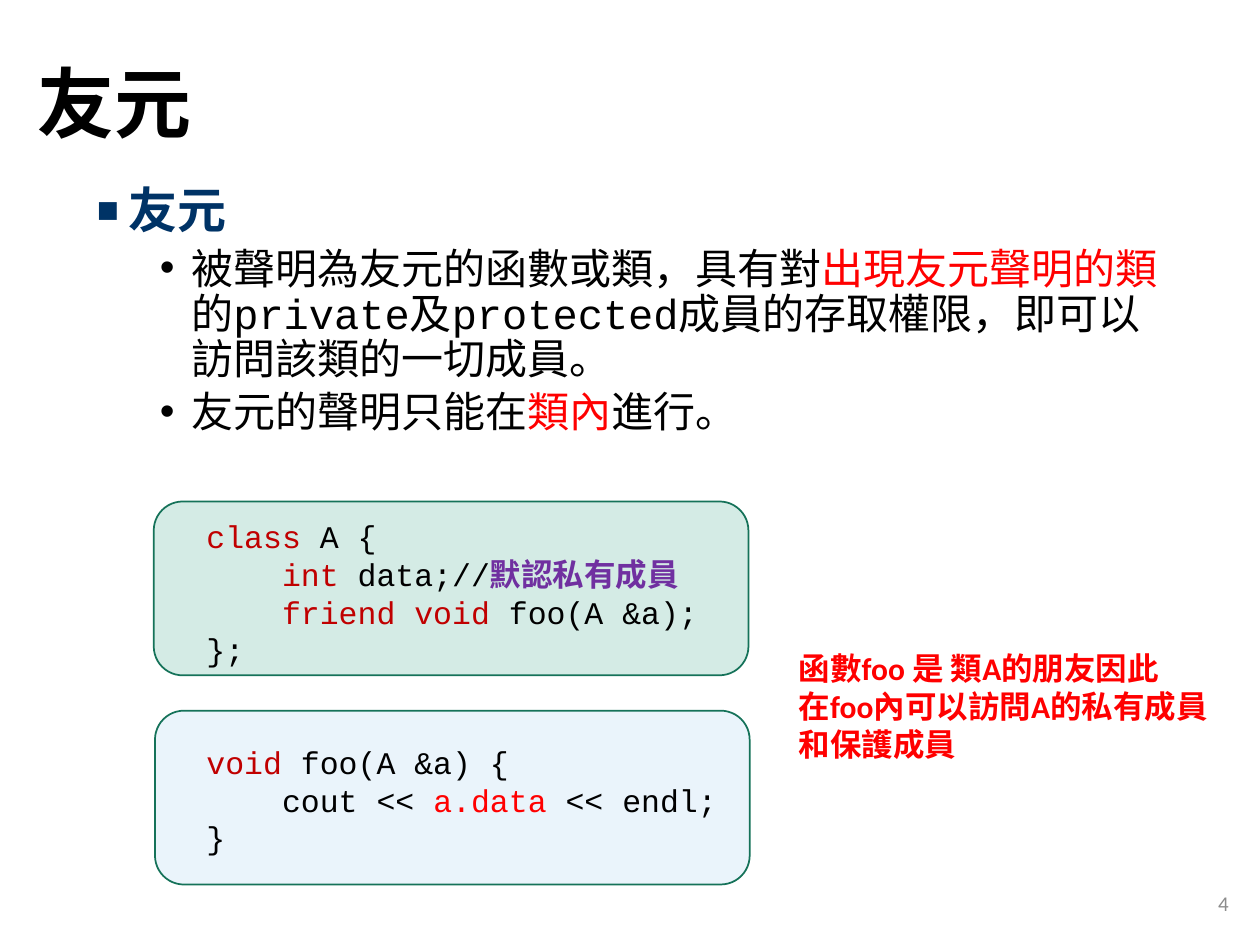
from lxml import etree
from pptx import Presentation
from pptx.dml.color import RGBColor
from pptx.enum.shapes import MSO_SHAPE
from pptx.enum.text import MSO_ANCHOR, PP_ALIGN
from pptx.oxml.ns import qn
from pptx.util import Inches, Pt

ROUNDED = MSO_SHAPE.ROUNDED_RECTANGLE
TOP, MIDDLE = MSO_ANCHOR.TOP, MSO_ANCHOR.MIDDLE
LEFT, RIGHT = PP_ALIGN.LEFT, PP_ALIGN.RIGHT

COLORS = {
    "black": "000000", "navy": "003366", "red": "FF0000",
    "keyword": "C00000", "comment": "7030A0", "grey": "8C8C8C",
    "green": "1D9A78", "blue": "94C8ED", "border": "157259",
}
CJK, CODE, SANS = "Noto Sans CJK SC", "Courier New", "Calibri"


def rgb(name):
    return RGBColor.from_string(COLORS[name])


class SlideBuilder:
    """Holds the current slide and draws each kind of element on it."""

    def __init__(self, prs):
        self.s = prs.slides.add_slide(prs.slide_layouts[6])

    def panel(self, left, top, color):
        sp = self.s.shapes.add_shape(ROUNDED, Inches(left), Inches(top),
                                     Inches(4.72), Inches(1.38))
        sp.shadow.inherit = False
        sp.fill.solid()
        sp.fill.fore_color.rgb = rgb(color)
        clr = sp.fill._xPr.find(qn("a:solidFill"))[0]
        etree.SubElement(clr, qn("a:alpha"), val="19000")
        sp.line.color.rgb = rgb("border")
        sp.line.width = Pt(1)

    def frame(self, left, top, width, height, anchor=TOP):
        sp = self.s.shapes.add_textbox(Inches(left), Inches(top),
                                       Inches(width), Inches(height))
        tf = sp.text_frame
        tf.word_wrap = True
        tf.vertical_anchor = anchor
        return tf

    def paragraph(self, tf, runs, size, font, spacing=None, before=0,
                  align=LEFT, bullet=None):
        """Each run is (text, color) or (text, color, bold)."""
        first = tf.paragraphs[0]
        p = tf.add_paragraph() if first.runs else first
        p.alignment = align
        p.space_before = Pt(before)
        if spacing:
            p.line_spacing = spacing
        if bullet:
            self.bullet(p, *bullet)
        for text, color, *bold in runs:
            r = p.add_run()
            r.text = text
            r.font.size = Pt(size)
            r.font.name = font
            r.font.bold = bool(bold and bold[0])
            r.font.color.rgb = rgb(color)
            etree.SubElement(r._r.get_or_add_rPr(), qn("a:ea"), typeface=CJK)

    def bullet(self, p, char, margin, percent):
        pPr = p._p.get_or_add_pPr()
        pPr.set("marL", str(Inches(margin)))
        pPr.set("indent", str(Inches(-0.25)))
        etree.SubElement(pPr, qn("a:buSzPct"), val=str(percent * 1000))
        etree.SubElement(pPr, qn("a:buFont"), typeface="Arial")
        etree.SubElement(pPr, qn("a:buChar"), char=char)


def main():
    prs = Presentation()
    prs.slide_width, prs.slide_height = Inches(10), Inches(7.5)
    b = SlideBuilder(prs)

    # Code panels
    b.panel(1.22, 3.98, "green")
    b.panel(1.23, 5.64, "blue")

    # Title
    title = b.frame(0.2, 0.13, 8.62, 1.45, MIDDLE)
    b.paragraph(title, [("友元", "black", True)], 44, CJK, 0.9)

    # Definition and rules
    body = b.frame(0.67, 1.43, 8.8, 2.4)
    b.paragraph(body, [("友元", "navy", True)], 28, CODE, Pt(30),
                bullet=("■", 0.25, 75))
    rules = [
        [("被聲明為友元的函數或類，具有對", "black"),
         ("出現友元聲明的類", "red"),
         ("的private及protected成員的存取權限，即可以訪問該類的一切成員。", "black")],
        [("友元的聲明只能在", "black"), ("類內", "red"), ("進行。", "black")],
    ]
    for runs in rules:
        b.paragraph(body, runs, 24, CODE, Pt(25.7), before=5,
                    bullet=("•", 0.75, 100))

    # Code listing: the gap falls between the two panels
    class_code = [
        [("class ", "keyword"), ("A {", "black")],
        [("    ", "black"), ("int", "keyword"), (" data;//", "black"),
         ("默認私有成員", "comment", True)],
        [("    ", "black"), ("friend void", "keyword"),
         (" foo(A &a);", "black")],
        [("};", "black")],
    ]
    function_code = [
        [("void", "keyword"), (" foo(A &a) {", "black")],
        [("    cout << ", "black"), ("a.data ", "red"),
         ("<< endl;", "black")],
        [("}", "black")],
    ]
    code = b.frame(1.54, 4.06, 5, 2.83)
    for block, gap in ((class_code, 0), (function_code, 43)):
        for i, runs in enumerate(block):
            b.paragraph(code, runs, 18, CODE, Pt(21.5),
                        before=0 if i else gap)

    # Slide number
    number = b.frame(7.6, 6.97, 2.25, 0.4, MIDDLE)
    b.paragraph(number, [("4", "grey")], 12, SANS, align=RIGHT)

    # Explanation beside the code
    note = b.frame(6.24, 5.1, 3.48, 1.01)
    for line in ("函數foo 是 類A的朋友因此", "在foo內可以訪問A的私有成員", "和保護成員"):
        b.paragraph(note, [(line, "red", True)], 18, SANS, Pt(21.8))

    prs.save("out.pptx")


if __name__ == "__main__":
    main()
